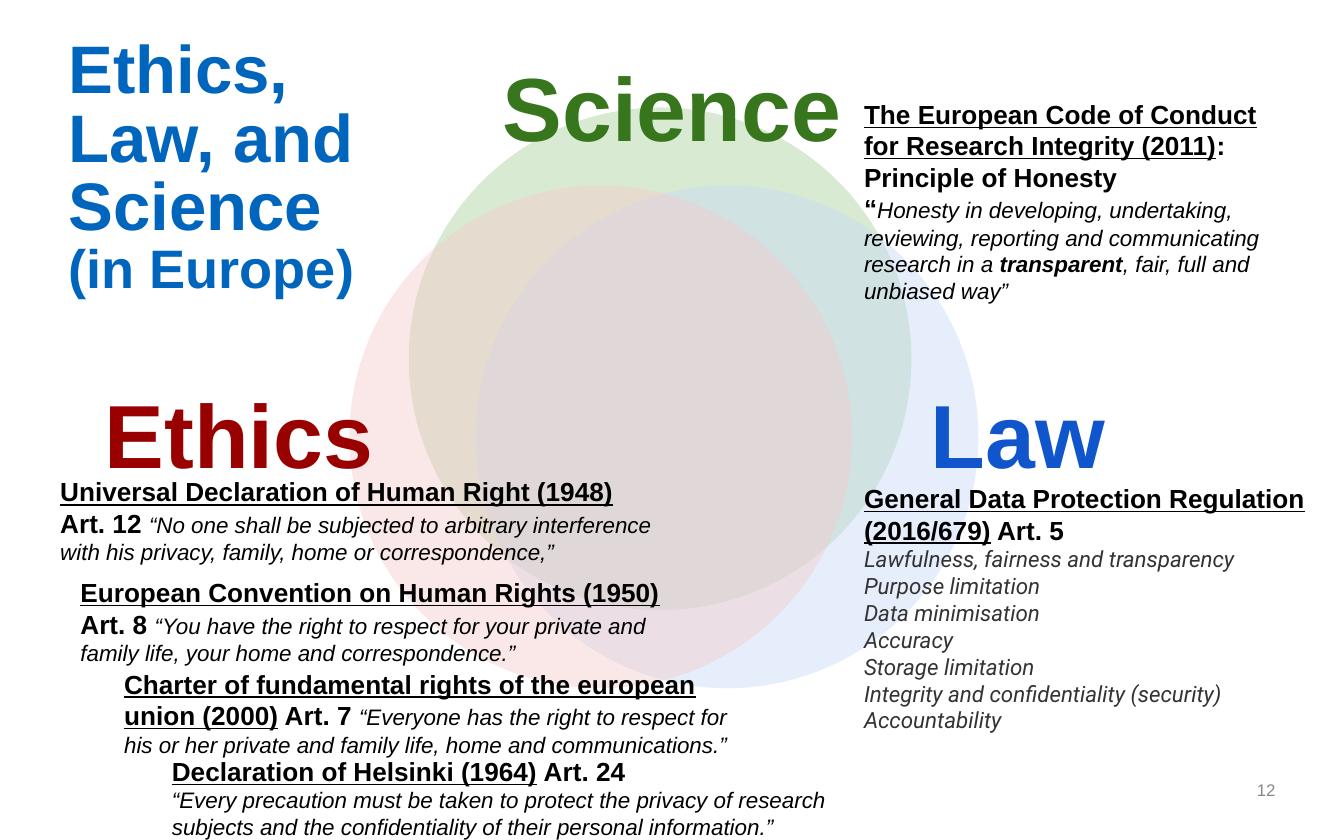
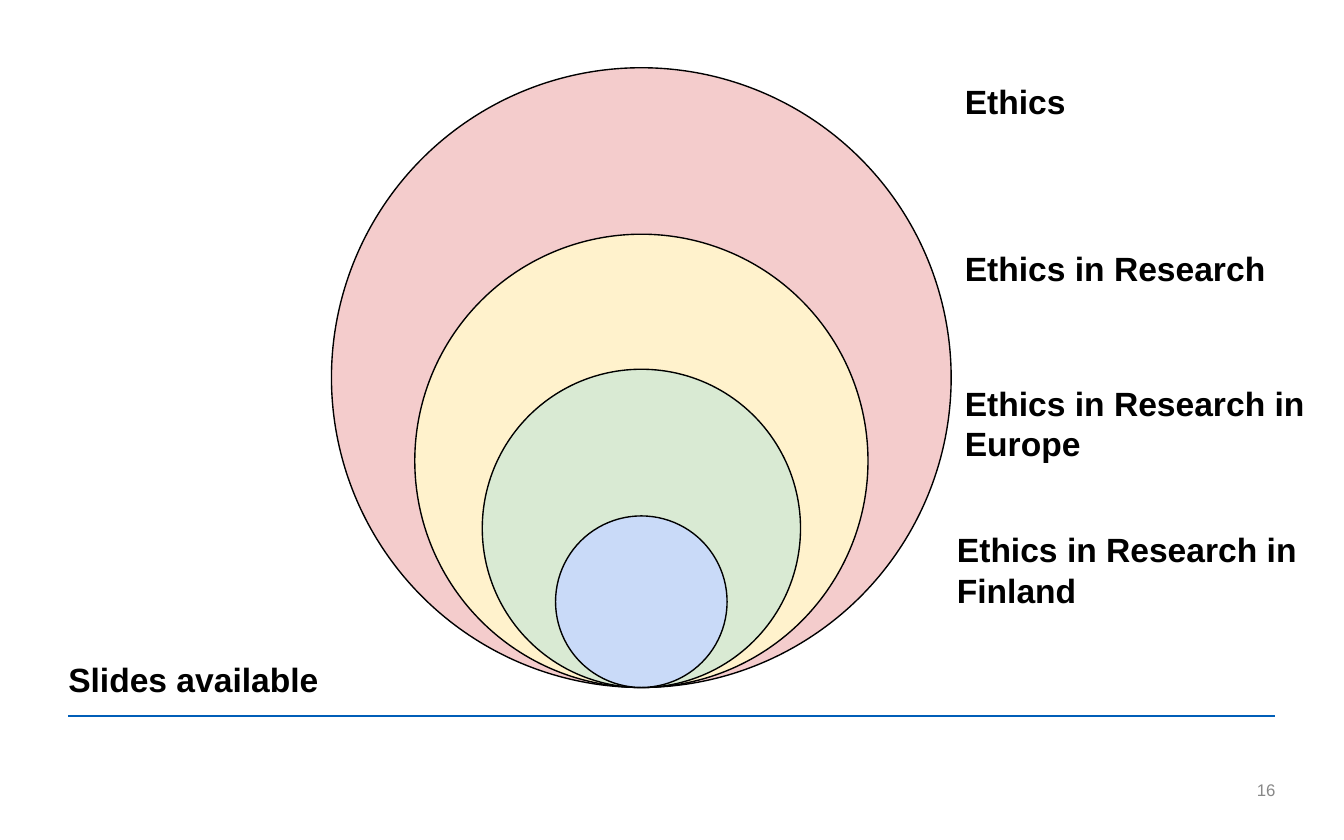
from copy import deepcopy

from lxml import etree
from pptx import Presentation
from pptx.dml.color import RGBColor
from pptx.enum.shapes import MSO_CONNECTOR, MSO_SHAPE
from pptx.enum.text import MSO_ANCHOR, PP_ALIGN
from pptx.oxml.ns import qn
from pptx.util import Pt

OVAL, RECT = MSO_SHAPE.OVAL, MSO_SHAPE.RECTANGLE
STRAIGHT = MSO_CONNECTOR.STRAIGHT
LEFT, CENTER, RIGHT = PP_ALIGN.LEFT, PP_ALIGN.CENTER, PP_ALIGN.RIGHT
TOP, MIDDLE = MSO_ANCHOR.TOP, MSO_ANCHOR.MIDDLE

COLORS = {
    "white": "FFFFFF", "black": "000000", "title": "0065BD", "rule": "005EB8",
    "number": "888888", "principle": "333333",
    "ethics": "990000", "law": "1155CC", "science": "38761D",
    "pink": "F4CCCC", "yellow": "FFF2CC", "green": "D9EAD3", "blue": "C9DAF8",
}
SOURCE = {"size": 14, "bold": True, "underline": True}
ARTICLE = {"size": 14, "bold": True}
QUOTE = {"size": 12, "italic": True}
STRESS = {"size": 12, "italic": True, "bold": True}
PRINCIPLE = {"size": 12, "italic": True, "font": "Roboto", "color": "principle"}
LABEL = {"size": 18, "bold": True}
HEADING = {"size": 48, "bold": True}
TITLE = {"bold": True, "color": "title"}
INSET = (7.2, 7.2, 7.2, 7.2)


def write(paragraph, text, size=18, font="Arial", color="black",
          bold=False, italic=False, underline=False):
    for index, line in enumerate(text.split("\n")):
        if index:
            paragraph.add_line_break()
            paragraph._p[-1].append(deepcopy(run._r.rPr))
        run = paragraph.add_run()
        run.text = line
        run.font.size = Pt(size)
        run.font.name = font
        run.font.bold = bold
        run.font.italic = italic
        run.font.underline = underline
        run.font.color.rgb = RGBColor.from_string(COLORS[color])


class Deck:
    def __init__(self, width, height):
        self.show = Presentation()
        self.show.slide_width, self.show.slide_height = Pt(width), Pt(height)
        self.slide = None

    def new_slide(self):
        self.slide = self.show.slides.add_slide(self.show.slide_layouts[6])

    def text(self, left, top, width, height, paragraphs, align=LEFT,
             anchor=TOP, inset=INSET, spacing=None):
        box = self.slide.shapes.add_textbox(Pt(left), Pt(top), Pt(width), Pt(height))
        frame = box.text_frame
        frame.word_wrap = True
        frame.vertical_anchor = anchor
        (frame.margin_left, frame.margin_top,
         frame.margin_right, frame.margin_bottom) = map(Pt, inset)
        for index, parts in enumerate(paragraphs):
            paragraph = frame.add_paragraph() if index else frame.paragraphs[0]
            paragraph.alignment = align
            if spacing:
                paragraph.line_spacing = spacing
            for words, style in parts:
                write(paragraph, words, **style)

    def shape(self, kind, left, top, width, height, fill, line=None, alpha=None):
        figure = self.slide.shapes.add_shape(kind, Pt(left), Pt(top), Pt(width), Pt(height))
        figure.shadow.inherit = False
        figure.fill.solid()
        figure.fill.fore_color.rgb = RGBColor.from_string(COLORS[fill])
        if alpha:
            tint = figure._element.spPr.find(qn("a:solidFill"))[0]
            etree.SubElement(tint, qn("a:alpha"), val=str(alpha * 1000))
        if line:
            figure.line.color.rgb = RGBColor.from_string(COLORS[line])
            figure.line.width = Pt(0.75)
        else:
            figure.line.fill.background()

    def rule(self, left, right, y):
        rule = self.slide.shapes.add_connector(STRAIGHT, Pt(left), Pt(y), Pt(right), Pt(y))
        rule.line.color.rgb = RGBColor.from_string(COLORS["rule"])
        rule.line.width = Pt(1)
        etree.SubElement(rule._element.spPr, qn("a:effectLst"))

    def number(self, number):
        self.text(398.2, 417.6, 285.1, 10.8,
                  [[(str(number), {"size": 9, "color": "number"})]],
                  align=RIGHT, anchor=MIDDLE, inset=(7.2, 3.6, 0, 3.6))


def build_venn(deck):
    deck.new_slide()
    deck.shape(RECT, 13.7, 5.8, 697, 444.2, "white", line="white")
    diameter = 269.3
    deck.shape(OVAL, 219, 57.6, diameter, diameter, "green")
    deck.shape(OVAL, 254.9, 99.4, diameter, diameter, "blue", alpha=46)
    deck.text(36.7, 20.9, 168.5, 43.9,
              [[("Ethics, Law, and Science", {**TITLE, "size": 36})],
               [("(in Europe)", {**TITLE, "size": 29})]],
              inset=(0, 0, 0, 0), spacing=0.85)
    deck.number(12)
    deck.shape(OVAL, 187.2, 99.4, diameter, diameter, "pink", alpha=45)

    headings = [
        ("Ethics", 49, 195.8, 178.6, "ethics", LEFT),
        ("Law", 420.5, 195.8, 178.6, "law", RIGHT),
        ("Science", 256.3, 20.9, 207.4, "science", CENTER),
    ]
    for name, left, top, width, color, align in headings:
        deck.text(left, top, width, 57.6, [[(name, {**HEADING, "color": color})]],
                  align=align)

    sources = [
        (25.2, 247.7, 355.7, 63.4, [
            ("Universal Declaration of Human Right (1948)", SOURCE),
            (" \nArt. 12 ", ARTICLE),
            ("“No one shall be subjected to arbitrary interference with his "
             "privacy, family, home or correspondence,”", QUOTE)]),
        (36, 301.7, 344.9, 63.4, [
            ("European Convention on Human Rights (1950)", SOURCE),
            (" Art. 8 ", ARTICLE),
            ("“You have the right to respect for your private and family life, "
             "your home and correspondence.”", QUOTE)]),
        (59.4, 350.6, 355.7, 63.4, [
            ("Charter of fundamental rights of the european union (2000)", SOURCE),
            (" Art. 7 ", ARTICLE),
            ("“Everyone has the right to respect for his or her private and "
             "family life, home and communications.”", QUOTE)]),
        (85, 397.4, 376.6, 60.5, [
            ("Declaration of Helsinki (1964)", SOURCE),
            (" Art. 24 \n", ARTICLE),
            ("“Every precaution must be taken to protect the privacy of research "
             "subjects and the confidentiality of their personal information.”", QUOTE)]),
        (455.8, 45.4, 234.7, 126, [
            ("The European Code of Conduct for Research Integrity (2011)", SOURCE),
            (": Principle of Honesty\n“", ARTICLE),
            ("Honesty in developing, undertaking, reviewing, reporting and "
             "communicating research in a ", QUOTE),
            ("transparent", STRESS),
            (", fair, full and unbiased way”", QUOTE)]),
    ]
    for left, top, width, height, parts in sources:
        deck.text(left, top, width, height, [parts])

    principles = [
        "Purpose limitation", "Data minimisation", "Accuracy", "Storage limitation",
        "Integrity and confidentiality (security)", "Accountability",
    ]
    regulation = [
        ("General Data Protection Regulation (2016/679)", SOURCE),
        (" Art. 5 \n", ARTICLE),
        ("Lawfulness, fairness and transparency", PRINCIPLE),
    ]
    deck.text(455.8, 251.3, 269.3, 150.5,
              [regulation] + [[(principle, PRINCIPLE)] for principle in principles])


def build_nested_circles(deck):
    deck.new_slide()
    deck.rule(36.7, 683.3, 383.8)
    deck.number(16)
    center, bottom = 343.6, 368.3
    scopes = [
        ("Ethics", 332, "pink", 509.8),
        ("Ethics in Research", 242.8, "yellow", 509.8),
        ("Ethics in Research in Europe", 170.5, "green", 509.8),
        ("Ethics in Research in Finland", 91.9, "blue", 505.6),
    ]
    for scope, diameter, fill, label_left in scopes:
        top = bottom - diameter
        deck.shape(OVAL, center - diameter / 2, top, diameter, diameter, fill, line="black")
        deck.text(label_left, top, 198.7, 38.9, [[(scope, LABEL)]])
    deck.text(29.5, 345.6, 285.1, 38.9, [[("Slides available", LABEL)]])


def main():
    deck = Deck(720, 450)
    build_venn(deck)
    build_nested_circles(deck)
    deck.show.save("out.pptx")


if __name__ == "__main__":
    main()
